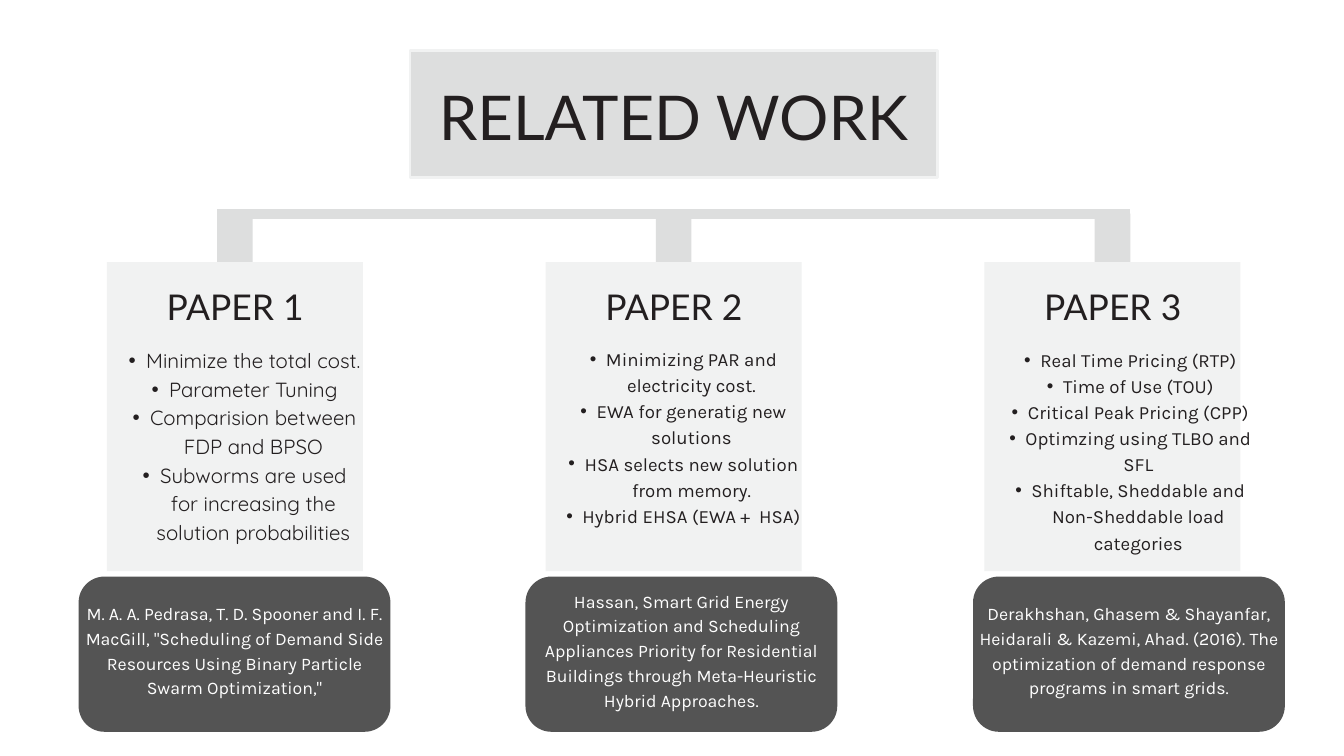
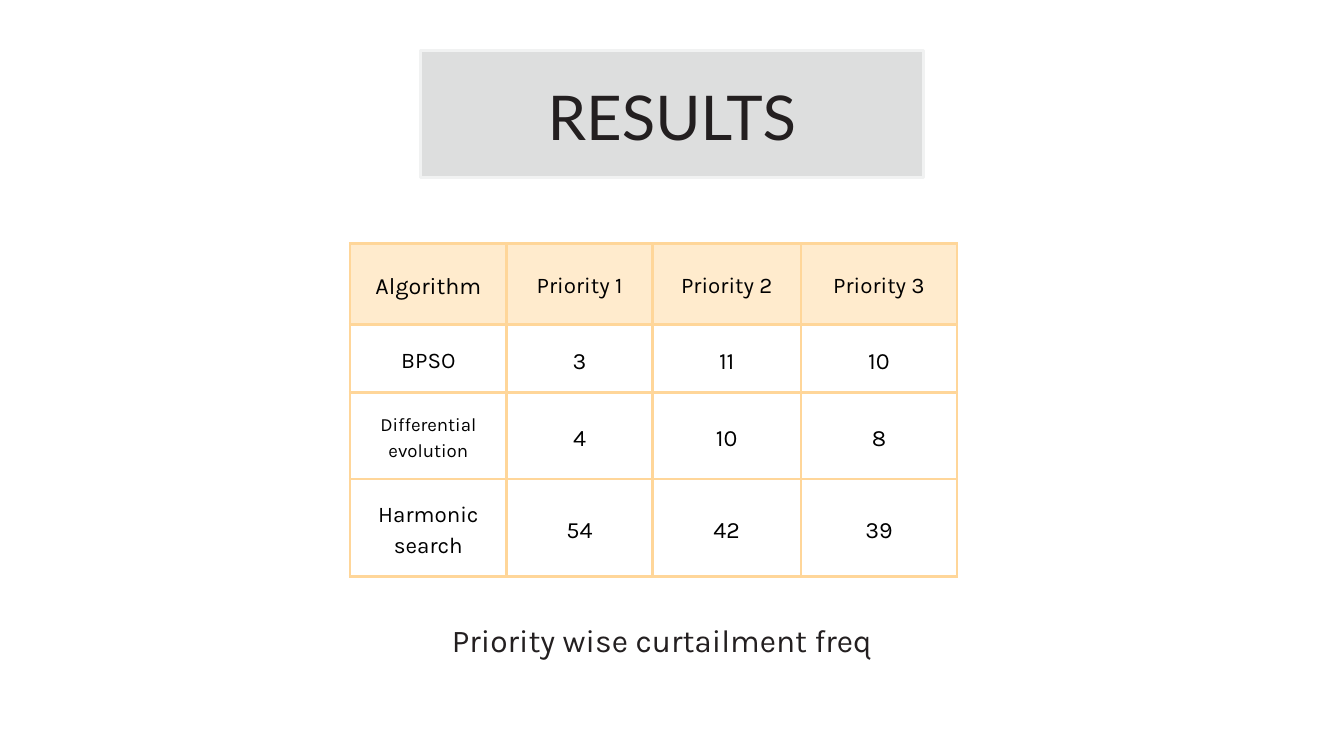
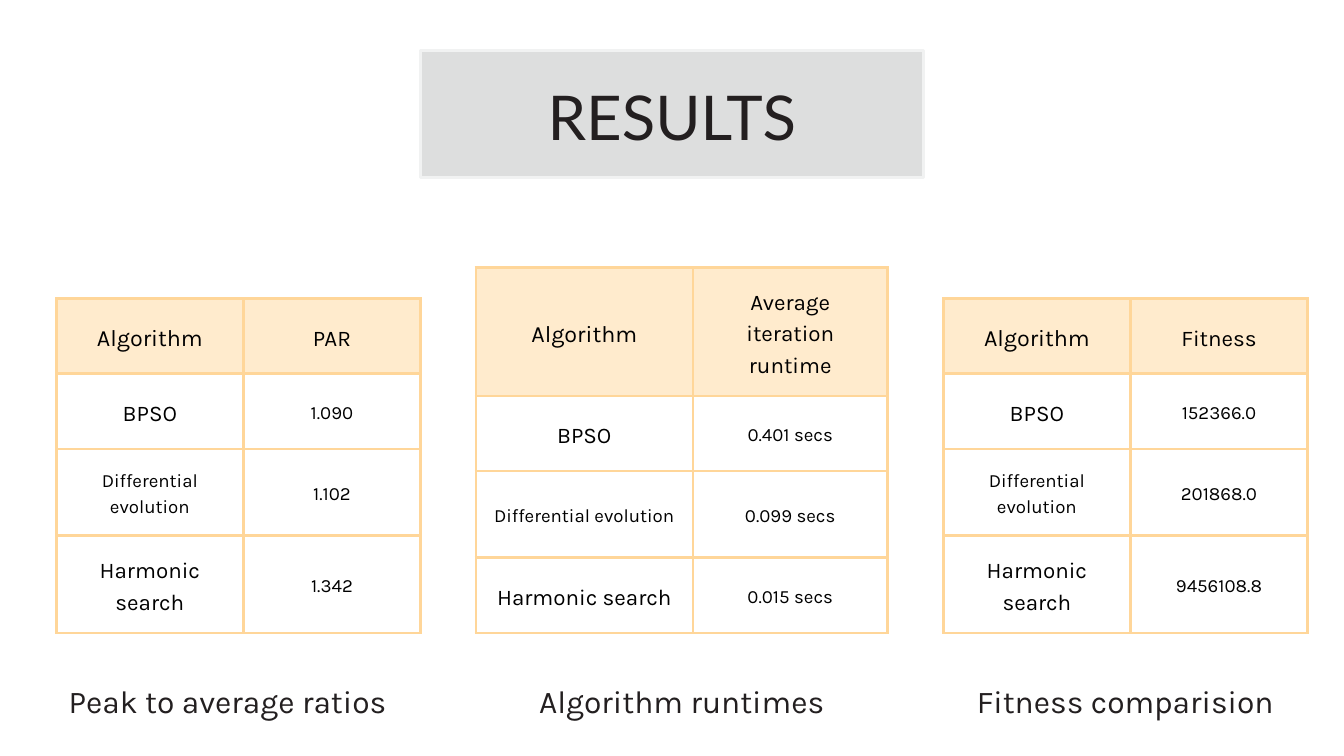
from dataclasses import dataclass

from lxml import etree
from pptx import Presentation
from pptx.dml.color import RGBColor
from pptx.enum.shapes import MSO_CONNECTOR, MSO_SHAPE
from pptx.enum.text import MSO_ANCHOR, PP_ALIGN
from pptx.oxml.ns import qn
from pptx.util import Pt

EMU_PER_PX = 9144  # 100 px to the inch
RECTANGLE, ROUNDED = MSO_SHAPE.RECTANGLE, MSO_SHAPE.ROUNDED_RECTANGLE
STRAIGHT = MSO_CONNECTOR.STRAIGHT
TOP, MIDDLE = MSO_ANCHOR.TOP, MSO_ANCHOR.MIDDLE
CENTER = PP_ALIGN.CENTER

INK, BLACK, WHITE = "231F20", "000000", "FFFFFF"
BAND, PALE, DARK = "DDDEDE", "F1F2F2", "545454"
HEADER_FILL, TABLE_LINE = "FFEBCD", "FFD699"
LEADING = 1.4
CELL_MARGIN = 21
ALGORITHMS = (("BPSO", 24), ("Differential evolution", 20), ("Harmonic search", 24))


@dataclass(frozen=True)
class Box:
    x: int
    y: int
    w: int
    h: int

    def emu(self) -> tuple[int, ...]:
        return px(self.x), px(self.y), px(self.w), px(self.h)


@dataclass(frozen=True)
class Style:
    font: str
    size: float
    color: str = INK


@dataclass(frozen=True)
class Paper:
    heading: str
    points: tuple[str, ...]
    points_box: Box
    points_style: Style
    citation: str


@dataclass(frozen=True)
class Result:
    x: int
    y: int
    widths: tuple[int, ...]
    heights: tuple[int, ...]
    measures: tuple[str, ...]
    values: tuple[tuple[str, ...], ...]
    value_size: int
    caption: str
    caption_box: Box


TITLE = Style("Lato", 66.1)
HEADING = Style("Lato", 38)
POINTS = Style("Karla", 20)
CITATION = Style("Karla", 19, WHITE)
CAPTION = Style("Karla", 34)

WIDE_TITLE = Box(610, 75, 785, 189)
RESULTS_TITLE = Box(626, 75, 748, 189)
PAPER_STEP = 653

PAPERS = (
    Paper(
        "PAPER 1",
        ("Minimize the total cost.", "Parameter Tuning",
         "Comparision between FDP and BPSO",
         "Subworms are used for increasing the solution probabilities"),
        Box(162, 512, 378, 331), Style("Quicksand", 21.9),
        "M. A. A. Pedrasa, T. D. Spooner and I. F. MacGill, \"Scheduling of Demand "
        "Side Resources Using Binary Particle Swarm Optimization,\"",
    ),
    Paper(
        "PAPER 2",
        ("Minimizing PAR and electricity cost.", "EWA for generatig new solutions",
         "HSA selects new solution from memory.", "Hybrid EHSA (EWA +  HSA)"),
        Box(814, 512, 382, 307), POINTS,
        "Hassan, Smart Grid Energy Optimization and Scheduling Appliances Priority "
        "for Residential Buildings through Meta-Heuristic Hybrid Approaches.",
    ),
    Paper(
        "PAPER 3",
        ("Real Time Pricing (RTP)", "Time of Use (TOU)", "Critical Peak Pricing (CPP)",
         "Optimzing using TLBO and SFL",
         "Shiftable, Sheddable and Non-Sheddable load categories"),
        Box(1465, 513, 410, 307), POINTS,
        "Derakhshan, Ghasem & Shayanfar, Heidarali & Kazemi, Ahad. (2016). The "
        "optimization of demand response programs in smart grids.",
    ),
)

CURTAILMENT = (
    Result(521, 362, (233, 217, 221, 232), (121, 101, 129, 145),
           ("Priority 1", "Priority 2", "Priority 3"),
           (("3", "11", "10"), ("4", "10", "8"), ("54", "42", "39")), 25,
           "Priority wise curtailment freq", Box(646, 914, 678, 63)),
)

COMPARISONS = (
    Result(84, 444, (278, 264), (112, 112, 129, 145), ("PAR",),
           (("1.090",), ("1.102",), ("1.342",)), 20,
           "Peak to average ratios", Box(84, 1005, 509, 63)),
    Result(708, 398, (323, 290), (191, 112, 129, 112), ("Average iteration runtime",),
           (("0.401 secs",), ("0.099 secs",), ("0.015 secs",)), 20,
           "Algorithm runtimes", Box(790, 1005, 449, 63)),
    Result(1404, 444, (278, 264), (112, 112, 129, 145), ("Fitness",),
           (("152366.0",), ("201868.0",), ("9456108.8",)), 20,
           "Fitness comparision", Box(1443, 1005, 463, 63)),
)


def px(length: int) -> int:
    return length * EMU_PER_PX


def rgb(code: str) -> RGBColor:
    return RGBColor.from_string(code)


def style_paragraph(paragraph, text: str, style: Style) -> None:
    paragraph.text = text
    paragraph.alignment = CENTER
    paragraph.line_spacing = Pt(round(style.size * LEADING, 1))
    paragraph.font.name = style.font
    paragraph.font.size = Pt(style.size)
    paragraph.font.color.rgb = rgb(style.color)


def add_bullet(paragraph, size: float) -> None:
    hang = round(size * 1.18)
    properties = paragraph._p.get_or_add_pPr()
    properties.set("marL", str(px(2 * hang)))
    properties.set("indent", str(px(-hang)))
    etree.SubElement(properties, qn("a:buFont")).set("typeface", "Arial")
    etree.SubElement(properties, qn("a:buChar")).set("char", "•")


def set_margins(holder, left: int, top: int, right: int, bottom: int) -> None:
    """Set the inner margins of a text frame or a table cell."""
    holder.margin_left, holder.margin_top = px(left), px(top)
    holder.margin_right, holder.margin_bottom = px(right), px(bottom)


def fill_frame(frame, lines: tuple[str, ...], style: Style, anchor=TOP,
               bulleted: bool = False) -> None:
    frame.word_wrap = True
    frame.vertical_anchor = anchor
    for index, line in enumerate(lines):
        paragraph = frame.add_paragraph() if index else frame.paragraphs[0]
        style_paragraph(paragraph, line, style)
        if bulleted:
            add_bullet(paragraph, style.size)


def add_text(slide, box: Box, lines: tuple[str, ...], style: Style, margin: int = 0,
             anchor=TOP, bulleted: bool = False) -> None:
    frame = slide.shapes.add_textbox(*box.emu()).text_frame
    set_margins(frame, margin, margin, margin, margin)
    fill_frame(frame, lines, style, anchor, bulleted)


def add_block(slide, box: Box, fill: str, outline: str = "", kind=RECTANGLE):
    block = slide.shapes.add_shape(kind, *box.emu())
    block.shadow.inherit = False
    block.fill.solid()
    block.fill.fore_color.rgb = rgb(fill)
    if outline:
        block.line.color.rgb = rgb(outline)
        block.line.width = Pt(3)
    else:
        block.line.fill.background()
    return block


def add_title(slide, box: Box, title: str) -> None:
    frame = add_block(slide, box, BAND, PALE).text_frame
    set_margins(frame, 0, 24, 0, 0)
    fill_frame(frame, (title,), TITLE)


def add_bar(slide, left: int, right: int, y: int) -> None:
    bar = slide.shapes.add_connector(STRAIGHT, px(left), px(y), px(right), px(y))
    bar.line.color.rgb = rgb(BAND)
    bar.line.width = Pt(10.5)
    etree.SubElement(bar._element.spPr, qn("a:effectLst"))


def add_paper(slide, index: int, paper: Paper) -> None:
    shift = index * PAPER_STEP
    add_block(slide, Box(323 + shift, 318, 53, 72), BAND)
    add_block(slide, Box(159 + shift, 390, 381, 460), PALE)
    add_text(slide, Box(131 + shift, 414, 438, 71), (paper.heading,), HEADING)
    add_text(slide, paper.points_box, paper.points, paper.points_style, bulleted=True)
    source_x = 117 + index * 1331 // 2
    add_block(slide, Box(source_x, 858, 464, 231), DARK, kind=ROUNDED)
    add_text(slide, Box(source_x, 842, 464, 247), (paper.citation,), CITATION, 6, MIDDLE)


def add_borders(cell) -> None:
    properties = cell._tc.get_or_add_tcPr()
    for side in ("a:lnL", "a:lnR", "a:lnT", "a:lnB"):
        edge = etree.SubElement(properties, qn(side), w=str(Pt(3)))
        fill = etree.SubElement(edge, qn("a:solidFill"))
        etree.SubElement(fill, qn("a:srgbClr"), val=TABLE_LINE)


def fill_cell(cell, text: str, size: int, is_header: bool) -> None:
    add_borders(cell)
    if is_header:
        cell.fill.solid()
        cell.fill.fore_color.rgb = rgb(HEADER_FILL)
    else:
        cell.fill.background()
    set_margins(cell, *[CELL_MARGIN] * 4)
    cell.vertical_anchor = MIDDLE
    style_paragraph(cell.text_frame.paragraphs[0], text, Style("Karla", size, BLACK))


def add_result(slide, result: Result) -> None:
    box = Box(result.x, result.y, sum(result.widths), sum(result.heights))
    table = slide.shapes.add_table(
        len(result.heights), len(result.widths), *box.emu()).table
    table.first_row = table.horz_banding = False
    for column, width in zip(table.columns, result.widths):
        column.width = px(width)
    for row, height in zip(table.rows, result.heights):
        row.height = px(height)

    rows = [[("Algorithm", 25)] + [(measure, 24) for measure in result.measures]]
    for algorithm, values in zip(ALGORITHMS, result.values):
        rows.append([algorithm] + [(value, result.value_size) for value in values])
    for r, row in enumerate(rows):
        for c, (text, size) in enumerate(row):
            fill_cell(table.cell(r, c), text, size, r == 0)
    add_text(slide, result.caption_box, (result.caption,), CAPTION)


def main() -> None:
    deck = Presentation()
    deck.slide_width, deck.slide_height = px(2000), px(1125)
    blank = deck.slide_layouts[6]

    related = deck.slides.add_slide(blank)
    add_title(related, WIDE_TITLE, "RELATED WORK")
    add_bar(related, 323, 1682, 318)
    for index, paper in enumerate(PAPERS):
        add_paper(related, index, paper)

    for results in (CURTAILMENT, COMPARISONS):
        slide = deck.slides.add_slide(blank)
        add_title(slide, RESULTS_TITLE, "RESULTS")
        for result in results:
            add_result(slide, result)

    deck.save("out.pptx")


if __name__ == "__main__":
    main()
